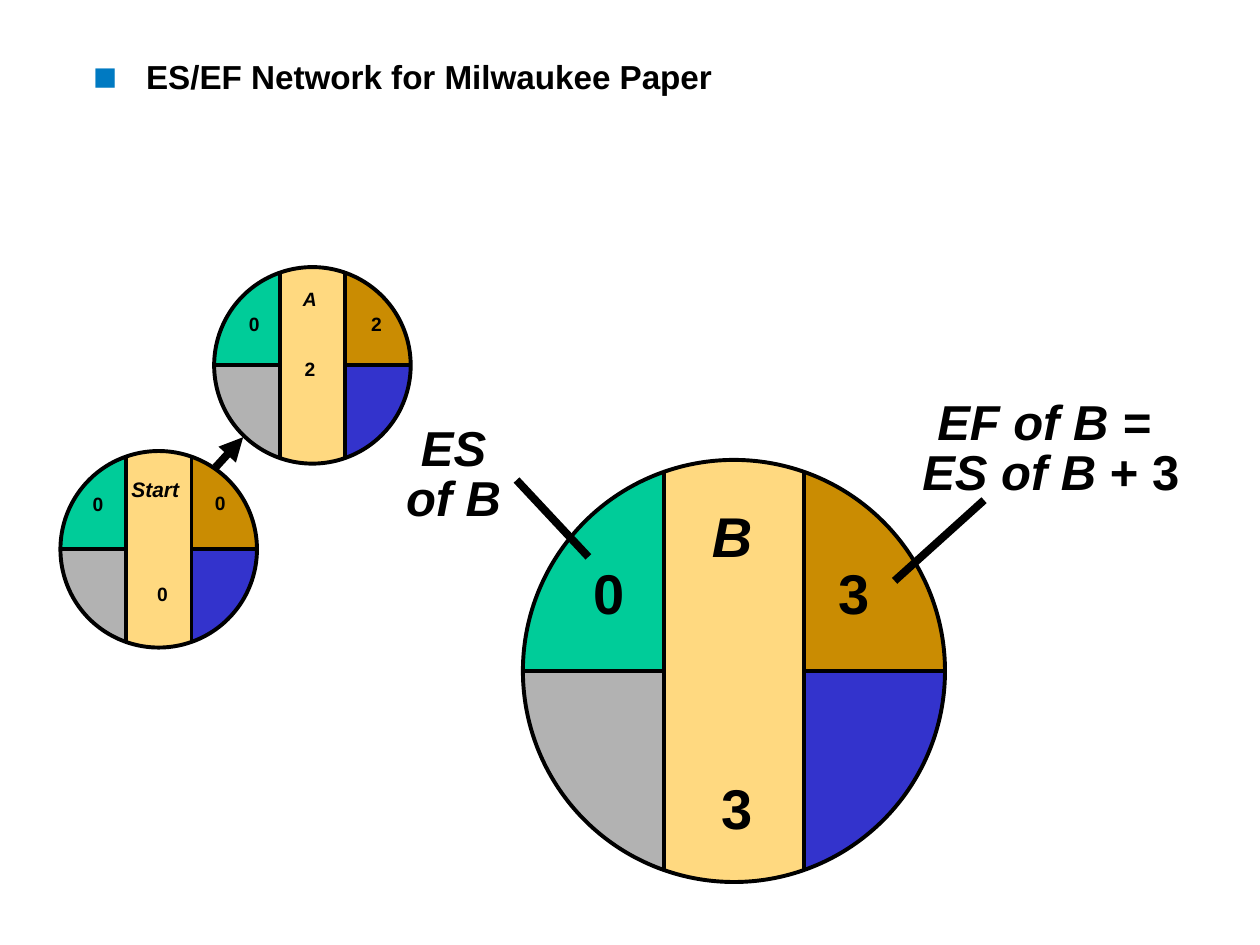
from math import acos, cos, sin

from lxml.etree import SubElement
from pptx import Presentation
from pptx.dml.color import RGBColor
from pptx.enum.shapes import MSO_CONNECTOR as Connector, MSO_SHAPE as Shape
from pptx.enum.text import MSO_AUTO_SIZE as AutoSize, PP_ALIGN as Align
from pptx.oxml.ns import qn
from pptx.util import Inches, Pt

COLORS = {
    "ink": "000000",
    "bullet": "007AC2",
    "stripe": "FFD980",
    "early_start": "00CC99",
    "early_finish": "CA8C02",
    "late_start": "B2B2B2",
    "late_finish": "3333CC",
}
QUADRANTS = [
    ("early_start", -1, -1),
    ("early_finish", 1, -1),
    ("late_finish", 1, 1),
    ("late_start", -1, 1),
]
ARC_STEPS = 24


class NetworkSlide:
    font = "Arial"
    outline = 2.25
    pointer = 4.5

    def __init__(self, page):
        self.page = page
        self.shapes = page.shapes

    def start_group(self):
        self.shapes = self.page.shapes.add_group_shape().shapes

    def color(self, name):
        return RGBColor.from_string(COLORS[name])

    def style(self, span, size, italic):
        span.font.name = self.font
        span.font.size = Pt(size)
        span.font.bold = True
        span.font.italic = italic
        span.font.color.rgb = self.color("ink")

    def title(self, text, left, top, width, height):
        box = self.page.shapes.add_textbox(
            Inches(left), Inches(top), Inches(width), Inches(height))
        frame = box.text_frame
        frame.word_wrap = True
        frame.margin_left = frame.margin_right = 0
        frame.margin_top = frame.margin_bottom = 0
        frame.text = text
        para = frame.paragraphs[0]
        props = para._p.get_or_add_pPr()
        props.set("marL", str(Inches(0.42)))
        props.set("indent", str(-Inches(0.42)))
        bullet_color = SubElement(props, qn("a:buClr"))
        SubElement(bullet_color, qn("a:srgbClr"), val=COLORS["bullet"])
        SubElement(props, qn("a:buSzPct"), val="120000")
        SubElement(props, qn("a:buFont"), typeface=self.font)
        SubElement(props, qn("a:buChar"), char="■")
        self.style(para.runs[0], 19, False)

    def label(self, text, left, top, width, height, size, italic=False,
              align=Align.RIGHT, wrap=False, spacing=None):
        box = self.shapes.add_textbox(
            Inches(left), Inches(top), Inches(width), Inches(height))
        frame = box.text_frame
        frame.word_wrap = wrap
        frame.auto_size = AutoSize.SHAPE_TO_FIT_TEXT
        frame.text = text
        for para in frame.paragraphs:
            para.alignment = align
            para.line_spacing = spacing
            for span in para.runs:
                self.style(span, size, italic)
        return frame.paragraphs

    def name_and_duration(self, name, duration, left, top, width, height,
                          size, gap, align):
        paras = self.label(f"{name}\n{duration}", left, top, width, height,
                           size, True, align)
        paras[1].space_before = Pt(gap)
        paras[1].runs[0].font.italic = False

    def line(self, x1, y1, x2, y2, weight, arrow=False):
        line = self.shapes.add_connector(
            Connector.STRAIGHT, Inches(x1), Inches(y1), Inches(x2), Inches(y2))
        line.line.color.rgb = self.color("ink")
        line.line.width = Pt(weight)
        if arrow:
            SubElement(line.line._get_or_add_ln(), qn("a:tailEnd"), type="triangle")
        SubElement(line._element.spPr, qn("a:effectLst"))

    def circle(self, left, top, size, fill=None):
        circle = self.shapes.add_shape(
            Shape.OVAL, Inches(left), Inches(top), Inches(size), Inches(size))
        circle.shadow.inherit = False
        if fill:
            circle.fill.solid()
            circle.fill.fore_color.rgb = self.color(fill)
            circle.line.fill.background()
        else:
            circle.fill.background()
            circle.line.color.rgb = self.color("ink")
            circle.line.width = Pt(self.outline)

    def quadrant(self, center_x, center_y, radius, fill, side, half):
        sweep = acos(1 / 3)
        angles = [sweep * step / ARC_STEPS for step in range(ARC_STEPS + 1)]
        arc = [(Inches(center_x + side * radius * cos(angle)),
                Inches(center_y + half * radius * sin(angle))) for angle in angles]
        corner = Inches(center_x + side * radius / 3), Inches(center_y)
        builder = self.shapes.build_freeform(*corner)
        builder.add_line_segments(arc, close=True)
        wedge = builder.convert_to_shape()
        wedge.shadow.inherit = False
        wedge.fill.solid()
        wedge.fill.fore_color.rgb = self.color(fill)
        wedge.line.fill.background()

    def node(self, left, top, size):
        radius = size / 2
        center_x, center_y = left + radius, top + radius
        self.circle(left, top, size, "stripe")
        for fill, side, half in QUADRANTS:
            self.quadrant(center_x, center_y, radius, fill, side, half)
        self.circle(left, top, size)
        reach = radius * sin(acos(1 / 3))
        for side in (-1, 1):
            edge = center_x + side * radius / 3
            self.line(center_x + side * radius, center_y, edge, center_y, self.outline)
            self.line(edge, center_y - reach, edge, center_y + reach, self.outline)


def main():
    deck = Presentation()
    deck.slide_width, deck.slide_height = Inches(10), Inches(7.5)
    page = deck.slides.add_slide(deck.slide_layouts[6])
    slide = NetworkSlide(page)

    slide.start_group()
    slide.node(4.15, 3.65, 3.35)
    slide.name_and_duration("B", "3", 5.55, 3.93, 0.52, 2.77, 32, 117, Align.RIGHT)

    slide.title("ES/EF Network for Milwaukee Paper", 0.74, 0.45, 8.5, 1.46)

    slide.start_group()
    slide.node(0.48, 3.58, 1.56)
    slide.label("Start", 0.94, 3.73, 0.58, 0.3, 12, True)
    for left, top in [(0.58, 3.86), (1.09, 4.57), (1.55, 3.85)]:
        slide.label("0", left, top, 0.34, 0.4, 11)
    slide.node(1.7, 2.12, 1.56)
    slide.name_and_duration("A", "2", 2.27, 2.23, 0.38, 1.3, 11, 27, Align.CENTER)
    for text, left in [("2", 2.79), ("0", 1.82)]:
        slide.label(text, left, 2.43, 0.34, 0.4, 11)
    slide.line(1.71, 3.71, 1.93, 3.47, slide.pointer, arrow=True)

    slide.start_group()
    slide.label("3", 6.55, 4.38, 0.45, 0.63, 32)
    formula = slide.label("EF of B = \vES of B ", 7.22, 3.13, 2.24, 0.9, 28, True,
                          Align.CENTER, spacing=0.85)[0]
    addend = formula.add_run()
    addend.text = "+ 3"
    slide.style(addend, 28, False)
    slide.line(7.81, 3.97, 7.1, 4.61, slide.pointer)

    slide.start_group()
    slide.label("0", 4.61, 4.38, 0.45, 0.63, 32)
    slide.label("ES\vof B", 3.02, 3.34, 1.16, 0.9, 28, True,
                Align.CENTER, wrap=True, spacing=0.85)
    slide.line(4.1, 3.81, 4.67, 4.42, slide.pointer)

    deck.save("out.pptx")


if __name__ == "__main__":
    main()
